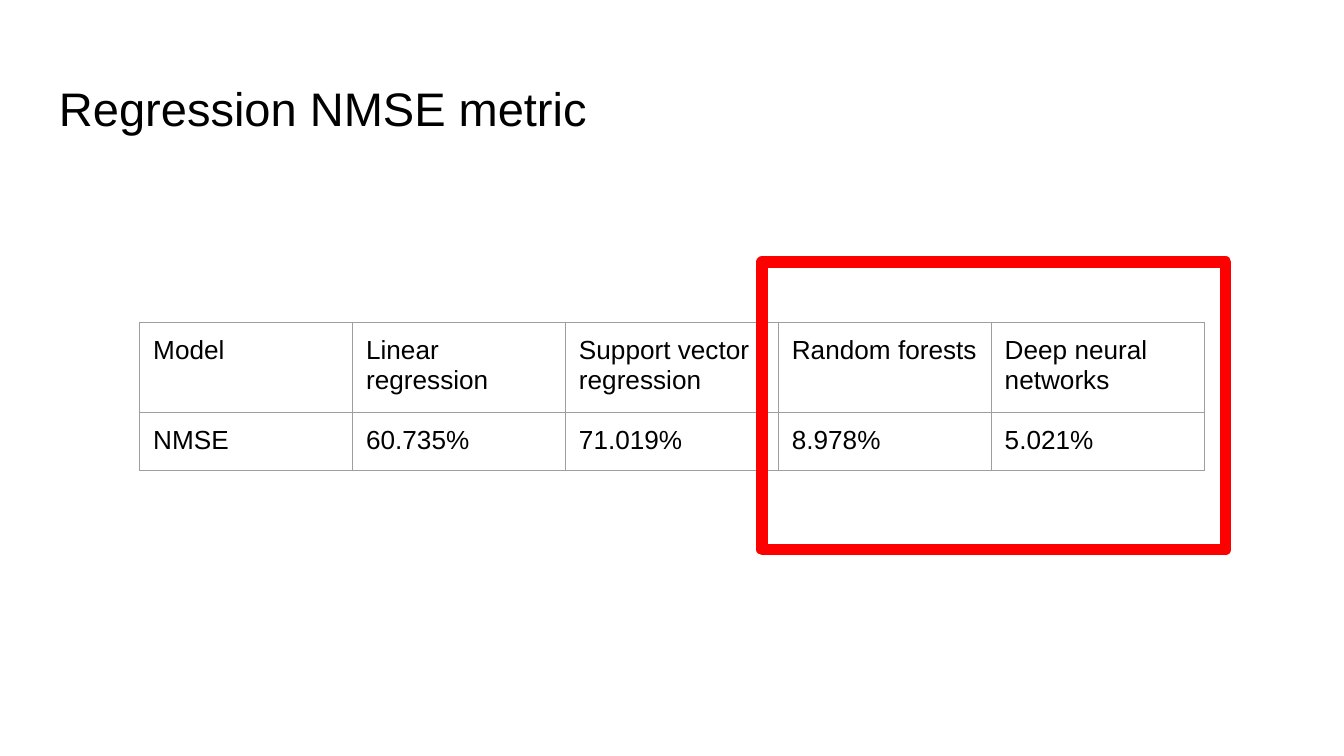
from pptx import Presentation
from pptx.dml.color import RGBColor
from pptx.enum.shapes import MSO_SHAPE
from pptx.enum.text import MSO_ANCHOR
from pptx.oxml.ns import qn
from pptx.util import Inches, Pt
from lxml.etree import SubElement

TITLE = "Regression NMSE metric"
ROWS = [
    ["Model", "Linear regression", "Support vector regression",
     "Random forests", "Deep neural networks"],
    ["NMSE", "60.735%", "71.019%", "8.978%", "5.021%"],
]
WIDTH = Inches(7.92)
HEIGHT = Inches(0.42)
COLORS = {"text": "000000", "grid": "9E9E9E", "mark": "FF0000"}
FONT = "Arial"


def color(name):
    return RGBColor.from_string(COLORS[name])


def write(frame, text, size):
    frame.word_wrap = True
    run = frame.paragraphs[0].add_run()
    run.text = text
    run.font.name = FONT
    run.font.size = Pt(size)
    run.font.color.rgb = color("text")


def pad(box):
    box.margin_left = box.margin_right = Inches(0.1)
    box.margin_top = box.margin_bottom = Inches(0.1)


def border(cell):
    props = cell._tc.get_or_add_tcPr()
    for place, side in enumerate(["lnL", "lnR", "lnT", "lnB"]):
        line = SubElement(props, qn("a:" + side), w=str(Pt(0.75)))
        fill = SubElement(line, qn("a:solidFill"))
        SubElement(fill, qn("a:srgbClr"), val=COLORS["grid"])
        props.remove(line)
        props.insert(place, line)


deck = Presentation()
deck.slide_width = Inches(10)
deck.slide_height = deck.slide_width * 9 // 16
slide = deck.slides.add_slide(deck.slide_layouts[6])

title = slide.shapes.add_textbox(
    Inches(0.34), Inches(0.49), Inches(9.32), Inches(0.63)).text_frame
pad(title)
title.vertical_anchor = MSO_ANCHOR.TOP
write(title, TITLE, 25.2)

table = slide.shapes.add_table(
    len(ROWS), len(ROWS[0]), Inches(1.04), Inches(2.4),
    WIDTH, HEIGHT * len(ROWS)).table
table.first_row = table.horz_banding = False
for col in table.columns:
    col.width = WIDTH // len(ROWS[0])
for row, texts in zip(table.rows, ROWS):
    row.height = HEIGHT
    for cell, text in zip(row.cells, texts):
        pad(cell)
        cell.fill.background()
        border(cell)
        write(cell.text_frame, text, 14)

mark = slide.shapes.add_shape(
    MSO_SHAPE.RECTANGLE, Inches(5.67), Inches(1.95), Inches(3.45), Inches(2.14))
mark.shadow.inherit = False
mark.fill.background()
mark.line.color.rgb = color("mark")
mark.line.width = Pt(6)
SubElement(mark.line._get_or_add_ln(), qn("a:round"))

deck.save("out.pptx")
